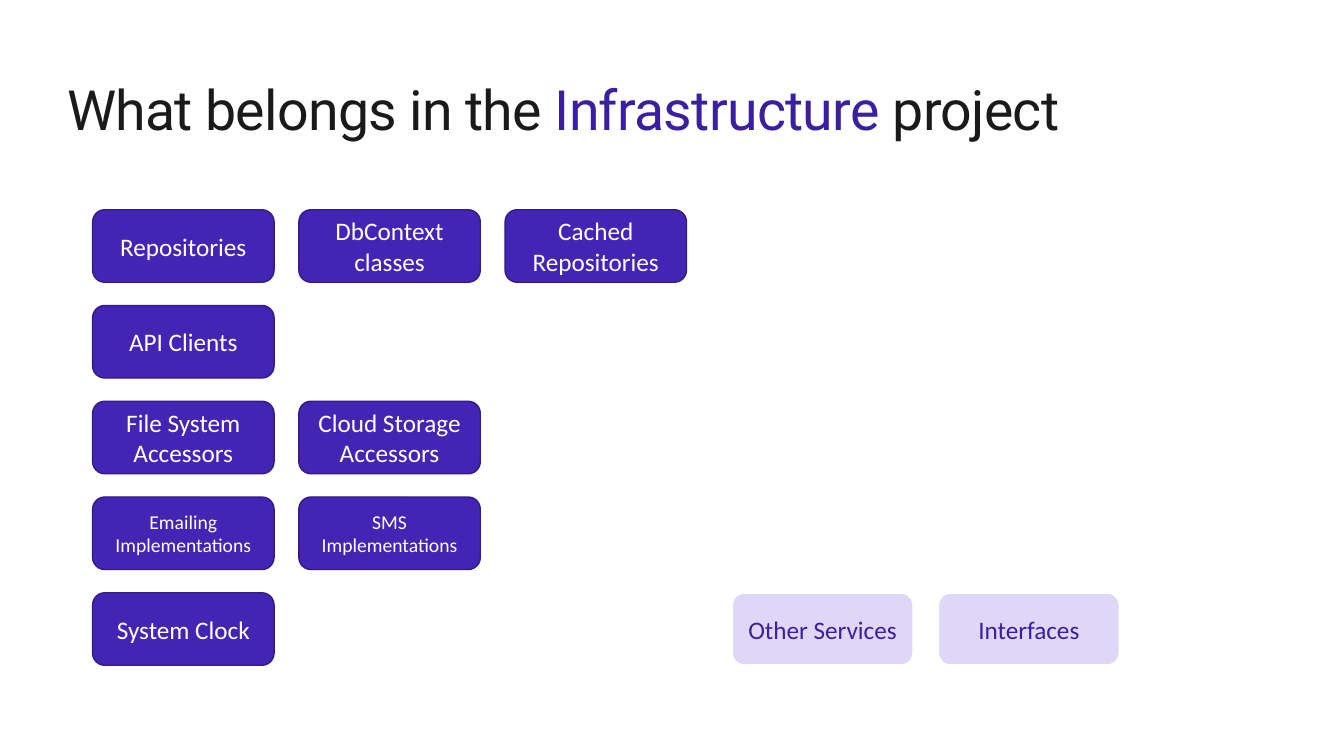
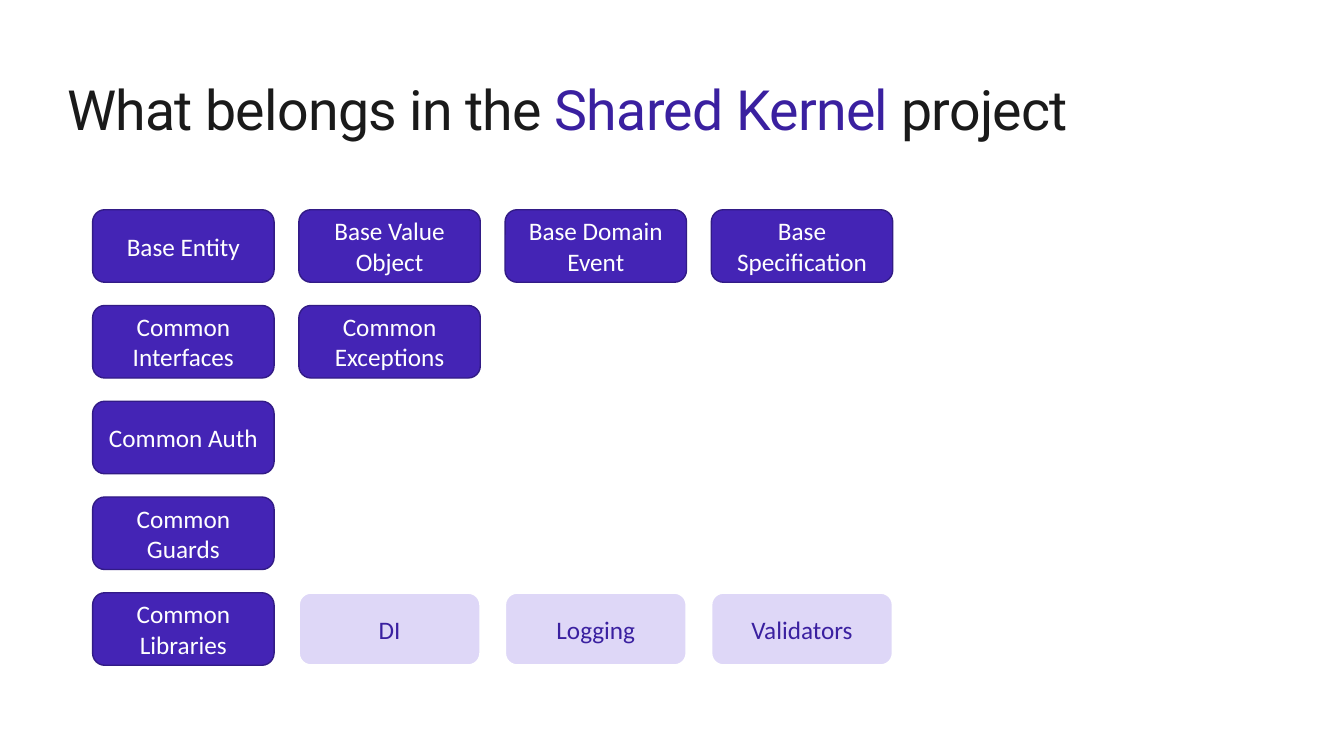
from dataclasses import dataclass

from pptx import Presentation
from pptx.dml.color import RGBColor as RGB
from pptx.enum.shapes import MSO_SHAPE as Shape
from pptx.enum.text import MSO_ANCHOR as Anchor, PP_ALIGN as Align
from pptx.util import Pt


@dataclass(frozen=True)
class BoxStyle:
    fill: RGB
    line: RGB
    line_width: float
    text: RGB


@dataclass(frozen=True)
class Theme:
    background: RGB = RGB(0xFF, 0xFF, 0xFF)
    ink: RGB = RGB(0x1A, 0x1A, 0x1A)
    accent: RGB = RGB(0x3A, 0x20, 0xA0)
    dark_box: BoxStyle = BoxStyle(
        RGB(0x44, 0x24, 0xB5), RGB(0x32, 0x1B, 0x86), 1, RGB(0xFF, 0xFF, 0xFF))
    light_box: BoxStyle = BoxStyle(
        RGB(0xDE, 0xD7, 0xF7), RGB(0xFF, 0xFF, 0xFF), 1.5, RGB(0x3A, 0x20, 0xA0))
    title_font: str = "Roboto"
    box_font: str = "Calibri"
    title_size: float = 39.6
    box_size: float = 18
    small_size: float = 14


class Deck:
    GRID_LEFT, GRID_TOP = 66.2, 149.8
    COLUMN_STEP, ROW_STEP = 147.3, 68.4
    BOX_WIDTH, BOX_HEIGHT = 129.6, 51.8

    def __init__(self, theme):
        self.theme = theme
        self.presentation = Presentation()
        self.presentation.slide_width = Pt(960)
        self.presentation.slide_height = Pt(540)
        self.slide = None

    def add_slide(self, project):
        self.slide = self.presentation.slides.add_slide(
            self.presentation.slide_layouts[6])
        background = self.slide.background.fill
        background.solid()
        background.fore_color.rgb = self.theme.background
        self.add_title(project)

    def add_run(self, paragraph, text, font, size, color):
        run = paragraph.add_run()
        run.text = text
        run.font.name = font
        run.font.size = Pt(size)
        run.font.color.rgb = color
        return run

    def add_title(self, project):
        theme = self.theme
        frame = self.slide.shapes.add_textbox(
            Pt(48), Pt(48), Pt(864), Pt(65)).text_frame
        frame.word_wrap = True
        frame.vertical_anchor = Anchor.MIDDLE
        frame.margin_left = frame.margin_right = Pt(0)
        frame.margin_top = frame.margin_bottom = Pt(0)
        paragraph = frame.paragraphs[0]
        paragraph.line_spacing = 0.9
        for text, color in (("What belongs in the ", theme.ink),
                            (project, theme.accent),
                            (" project", theme.ink)):
            run = self.add_run(paragraph, text, theme.title_font,
                               theme.title_size, color)
            run.font._element.set("spc", "-50")

    def add_box(self, text, column, row, style, size):
        box = self.slide.shapes.add_shape(
            Shape.ROUNDED_RECTANGLE,
            Pt(self.GRID_LEFT + column * self.COLUMN_STEP),
            Pt(self.GRID_TOP + row * self.ROW_STEP),
            Pt(self.BOX_WIDTH), Pt(self.BOX_HEIGHT))
        box.shadow.inherit = False
        box.fill.solid()
        box.fill.fore_color.rgb = style.fill
        box.line.color.rgb = style.line
        box.line.width = Pt(style.line_width)
        frame = box.text_frame
        frame.word_wrap = True
        frame.vertical_anchor = Anchor.MIDDLE
        paragraph = frame.paragraphs[0]
        paragraph.alignment = Align.CENTER
        self.add_run(paragraph, text, self.theme.box_font, size, style.text)

    def add_row(self, row, labels, first_column=0, style=None, size=None):
        """Place boxes side by side on the grid; dark and full size by default."""
        for column, label in enumerate(labels, first_column):
            self.add_box(label, column, row, style or self.theme.dark_box,
                         size or self.theme.box_size)

    def add_offset_row(self, row, labels, left_column, style):
        """Place boxes at the grid step, starting between two columns."""
        for index, label in enumerate(labels):
            self.add_box(label, left_column + index, row, style,
                         self.theme.box_size)


def main():
    theme = Theme()
    deck = Deck(theme)

    deck.add_slide("Infrastructure")
    deck.add_row(0, ["Repositories", "DbContext classes", "Cached Repositories"])
    deck.add_row(1, ["API Clients"])
    deck.add_row(2, ["File System Accessors", "Cloud Storage Accessors"])
    deck.add_row(3, ["Emailing Implementations", "SMS Implementations"],
                 size=theme.small_size)
    deck.add_row(4, ["System Clock"])
    deck.add_offset_row(4, ["Other Services", "Interfaces"], 3.1, theme.light_box)

    deck.add_slide("Shared Kernel")
    deck.add_row(0, ["Base Entity", "Base Value Object", "Base Domain Event",
                     "Base Specification"])
    deck.add_row(1, ["Common Interfaces", "Common Exceptions"])
    deck.add_row(2, ["Common Auth"])
    deck.add_row(3, ["Common Guards"])
    deck.add_row(4, ["Common Libraries"])
    deck.add_row(4, ["DI", "Logging", "Validators"], first_column=1,
                 style=theme.light_box)

    deck.presentation.save("out.pptx")


if __name__ == "__main__":
    main()
